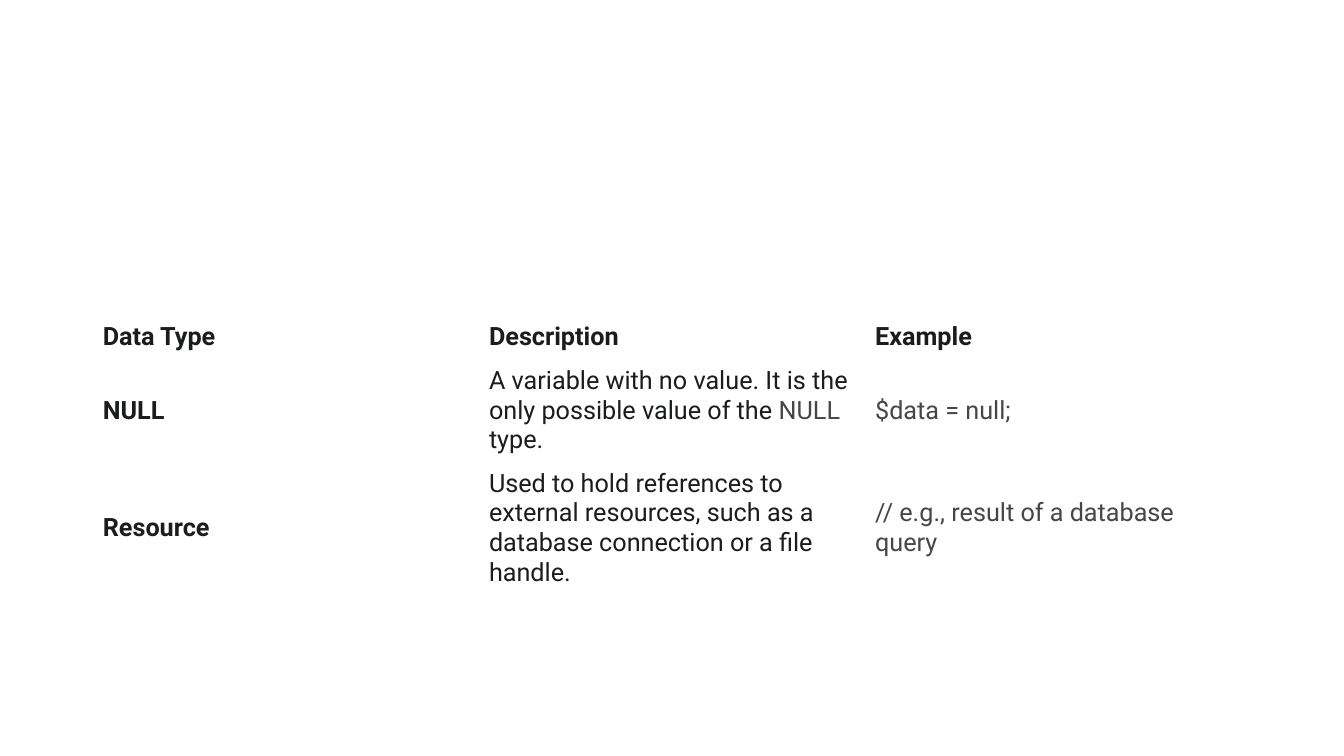
from dataclasses import dataclass

import pptx
import pptx.dml.color
import pptx.enum.text
import pptx.oxml
import pptx.oxml.ns
import pptx.table
import pptx.util

Inches = pptx.util.Inches
Pt = pptx.util.Pt
RGB = pptx.dml.color.RGBColor


@dataclass(frozen=True)
class Theme:
    font: str = "Roboto"
    size: float = 18
    text: str = "1B1C1D"
    code: str = "444746"
    border: str = "FFFFFF"
    border_width: float = 0.6


@dataclass(frozen=True)
class Span:
    text: str
    bold: bool = False
    code: bool = False


@dataclass(frozen=True)
class TableRow:
    height: float
    cells: tuple[tuple[Span, ...], ...]


THEME = Theme()
COLUMN_WIDTH = 3.83
ROWS = (
    TableRow(0.43, tuple((Span(label, bold=True),)
                         for label in ("Data Type", "Description", "Example"))),
    TableRow(1.02, (
        (Span("NULL", bold=True),),
        (Span("A variable with no value. It is the only possible value of the "),
         Span("NULL", code=True), Span(" type.")),
        (Span("$data = null;", code=True),),
    )),
    TableRow(1.31, (
        (Span("Resource", bold=True),),
        (Span("Used to hold references to external resources, such as "
              "a database connection or a file handle."),),
        (Span("// e.g., result of a database query", code=True),),
    )),
)


def set_borders(cell: pptx.table._Cell) -> None:
    tc_pr = cell._tc.get_or_add_tcPr()
    namespace = pptx.oxml.ns.nsdecls("a")
    for i, side in enumerate("LRTB"):
        tc_pr.insert(i, pptx.oxml.parse_xml(
            f'<a:ln{side} {namespace} w="{Pt(THEME.border_width)}"><a:solidFill>'
            f'<a:srgbClr val="{THEME.border}"/></a:solidFill></a:ln{side}>'))


def fill_cell(cell: pptx.table._Cell, spans: tuple[Span, ...]) -> None:
    cell.fill.background()
    set_borders(cell)
    cell.vertical_anchor = pptx.enum.text.MSO_ANCHOR.MIDDLE
    cell.margin_left = cell.margin_right = Inches(0.1)
    cell.margin_top = cell.margin_bottom = Inches(0.07)
    p = cell.text_frame.paragraphs[0]
    for span in spans:
        r = p.add_run()
        r.text = span.text
        r.font.name = THEME.font
        r.font.size = Pt(THEME.size)
        r.font.bold = span.bold
        r.font.color.rgb = RGB.from_string(THEME.code if span.code else THEME.text)


def main() -> None:
    prs = pptx.Presentation()
    prs.slide_width, prs.slide_height = Inches(13.33), Inches(7.5)
    s = prs.slides.add_slide(prs.slide_layouts.get_by_name("Blank"))
    columns = len(ROWS[0].cells)
    table = s.shapes.add_table(
        len(ROWS), columns, Inches(0.92), Inches(3.13),
        Inches(columns * COLUMN_WIDTH), Inches(sum(row.height for row in ROWS))).table
    table.first_row = table.horz_banding = False
    for column in table.columns:
        column.width = Inches(COLUMN_WIDTH)
    for i, row in enumerate(ROWS):
        table.rows[i].height = Inches(row.height)
        for j, spans in enumerate(row.cells):
            fill_cell(table.cell(i, j), spans)
    prs.save("out.pptx")


if __name__ == "__main__":
    main()
